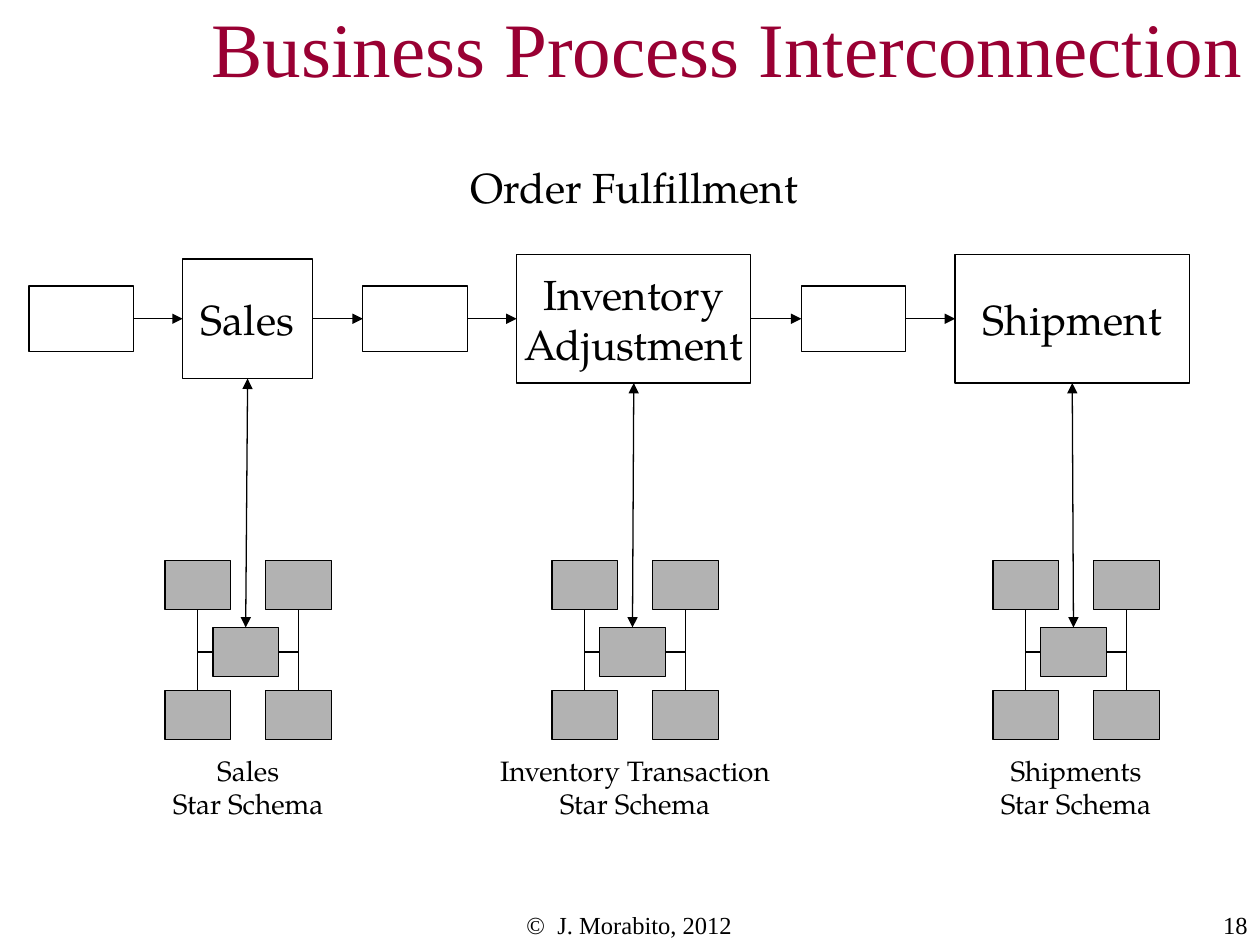
from lxml import etree
from pptx import Presentation
from pptx.dml.color import RGBColor
from pptx.enum.shapes import MSO_CONNECTOR, MSO_SHAPE
from pptx.enum.text import MSO_ANCHOR, MSO_AUTO_SIZE, PP_ALIGN
from pptx.oxml.ns import qn
from pptx.util import Inches, Pt

RECTANGLE = MSO_SHAPE.RECTANGLE
STRAIGHT, ELBOW = MSO_CONNECTOR.STRAIGHT, MSO_CONNECTOR.ELBOW
LEFT, CENTER, RIGHT = PP_ALIGN.LEFT, PP_ALIGN.CENTER, PP_ALIGN.RIGHT
MIDDLE = MSO_ANCHOR.MIDDLE
NO_AUTOFIT = MSO_AUTO_SIZE.NONE

COLORS = {"ink": "000000", "title": "990033", "table": "B2B2B2"}
SERIF = "Times New Roman"
BODY = "TeX Gyre Pagella"
LINE_WIDTH = Pt(0.75)
TOP_SIDE, LEFT_SIDE, BOTTOM_SIDE, RIGHT_SIDE = range(4)

FLOW_Y = 2.53
STEP_SIZE = (0.83, 0.52)
STEPS = [
    (0.23, STEP_SIZE, []),
    (1.45, (1.03, 0.95), ["Sales"]),
    (2.88, STEP_SIZE, []),
    (4.1, (1.86, 1.02), ["Inventory", "Adjustment"]),
    (6.36, STEP_SIZE, []),
    (7.58, (1.86, 1.02), ["Shipment"]),
]

TABLE_SIZE = (0.52, 0.39)
FACT_TOP = 4.98
DIMENSION_OFFSETS = [(-0.38, LEFT_SIDE), (0.42, RIGHT_SIDE)]
DIMENSION_TOPS = [(4.45, BOTTOM_SIDE), (5.48, TOP_SIDE)]
SCHEMAS = [
    (1.69, "Sales", 1.67),
    (4.76, "Inventory Transaction", 3),
    (8.26, "Shipments", 1.67),
]


def color(name):
    return RGBColor.from_string(COLORS[name])


def write(frame, lines, size, font, ink="ink", align=CENTER):
    for index, line in enumerate(lines):
        paragraph = frame.add_paragraph() if index else frame.paragraphs[0]
        paragraph.alignment = align
        run = paragraph.add_run()
        run.text = line
        run.font.size = Pt(size)
        run.font.name = font
        run.font.color.rgb = color(ink)


def add_title(slide, text):
    title = slide.shapes.title
    title.left, title.top = Inches(1.58), Inches(0.08)
    title.width, title.height = Inches(8.42), Inches(0.58)
    frame = title.text_frame
    frame.auto_size = NO_AUTOFIT
    frame.vertical_anchor = MIDDLE
    write(frame, [text], 44, SERIF, "title", LEFT)


def add_label(shapes, box, lines, size, font=BODY, align=CENTER, wrap=False):
    label = shapes.add_textbox(*map(Inches, box))
    frame = label.text_frame
    frame.word_wrap = wrap
    write(frame, lines, size, font, align=align)


def add_box(shapes, left, top, size, lines=(), fill=None):
    box = shapes.add_shape(RECTANGLE, *map(Inches, (left, top, *size)))
    box.shadow.inherit = False
    box.line.color.rgb = color("ink")
    box.line.width = LINE_WIDTH
    if fill:
        box.fill.solid()
        box.fill.fore_color.rgb = color(fill)
    else:
        box.fill.background()
    frame = box.text_frame
    frame.word_wrap = False
    frame.vertical_anchor = MIDDLE
    write(frame, lines, 24, BODY)
    return box


def join(shapes, kind, start, start_side, end, end_side, arrowheads=()):
    link = shapes.add_connector(kind, 0, 0, 0, 0)
    link.begin_connect(start, start_side)
    link.end_connect(end, end_side)
    link.line.color.rgb = color("ink")
    link.line.width = LINE_WIDTH
    properties = link._element.spPr
    if kind == ELBOW:
        properties.find(qn("a:prstGeom")).set("prst", "bentConnector2")
    for arrowhead in arrowheads:
        etree.SubElement(properties.find(qn("a:ln")), qn(arrowhead), type="triangle")
    etree.SubElement(properties, qn("a:effectLst"))


def add_process_flow(slide):
    steps = [
        add_box(slide.shapes, left, FLOW_Y - size[1] / 2, size, lines)
        for left, size, lines in STEPS
    ]
    for step, following in zip(steps, steps[1:]):
        join(slide.shapes, STRAIGHT, step, RIGHT_SIDE, following, LEFT_SIDE, ["a:tailEnd"])
    return steps[1::2]


def add_star_schema(slide, left, name, caption_width):
    shapes = slide.shapes.add_group_shape().shapes
    fact = add_box(shapes, left, FACT_TOP, TABLE_SIZE, fill="table")
    for offset, fact_side in DIMENSION_OFFSETS:
        for top, dimension_side in DIMENSION_TOPS:
            dimension = add_box(shapes, left + offset, top, TABLE_SIZE, fill="table")
            join(shapes, ELBOW, fact, fact_side, dimension, dimension_side)
    caption_left = left + 0.28 - caption_width / 2
    add_label(shapes, (caption_left, 5.93, caption_width, 0.64), [name, "Star Schema"], 16)
    return fact


def main():
    prs = Presentation()
    prs.slide_width, prs.slide_height = Inches(10), Inches(7.5)
    slide = prs.slides.add_slide(prs.slide_layouts[5])
    add_title(slide, "Business Process Interconnection")
    add_label(slide.shapes, (3.23, 1.23, 3.61, 0.5), ["Order Fulfillment"], 24)
    processes = add_process_flow(slide)
    for process, schema in zip(processes, SCHEMAS):
        fact = add_star_schema(slide, *schema)
        join(slide.shapes, STRAIGHT, process, BOTTOM_SIDE, fact, TOP_SIDE,
             ["a:headEnd", "a:tailEnd"])
    add_label(slide.shapes, (3.41, 7.17, 3.17, 0.25), ["©  J. Morabito, 2012"], 14, SERIF,
              wrap=True)
    add_label(slide.shapes, (8.58, 7.17, 1.42, 0.33), ["18"], 14, SERIF, RIGHT, True)
    prs.save("out.pptx")


if __name__ == "__main__":
    main()
